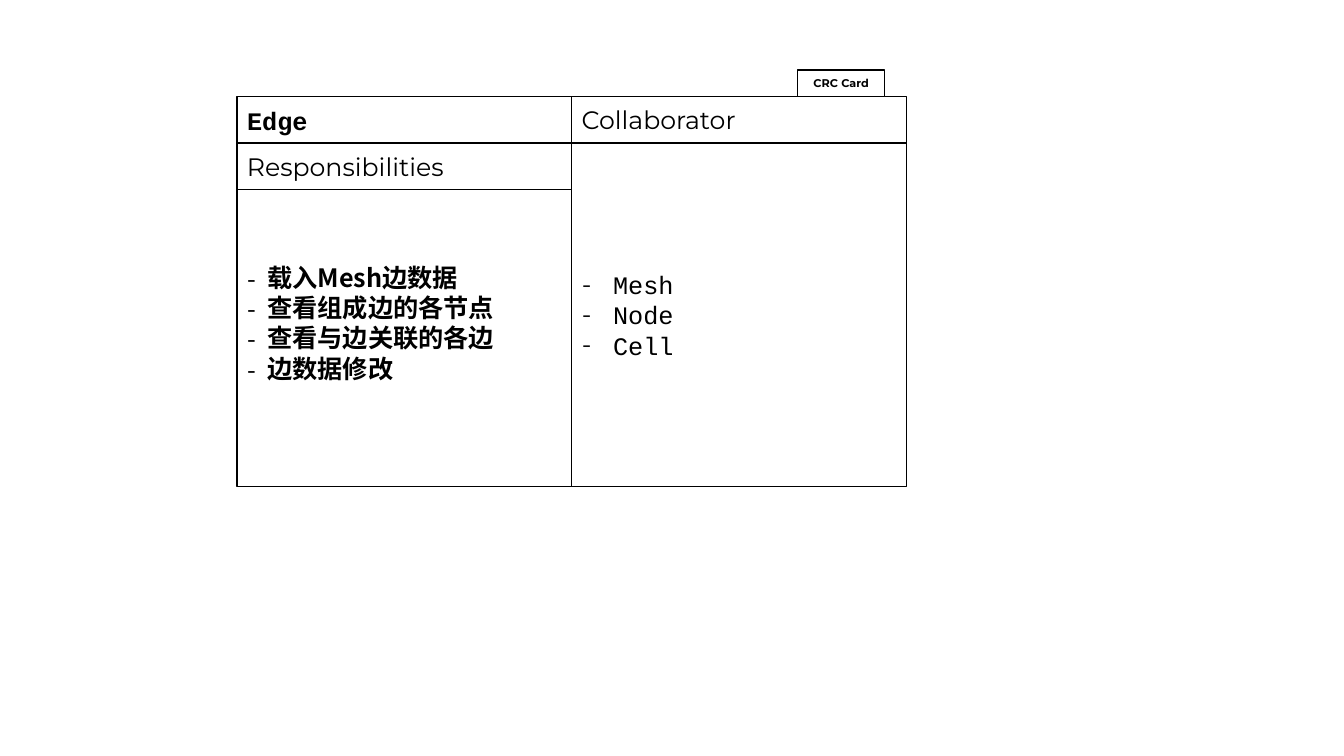
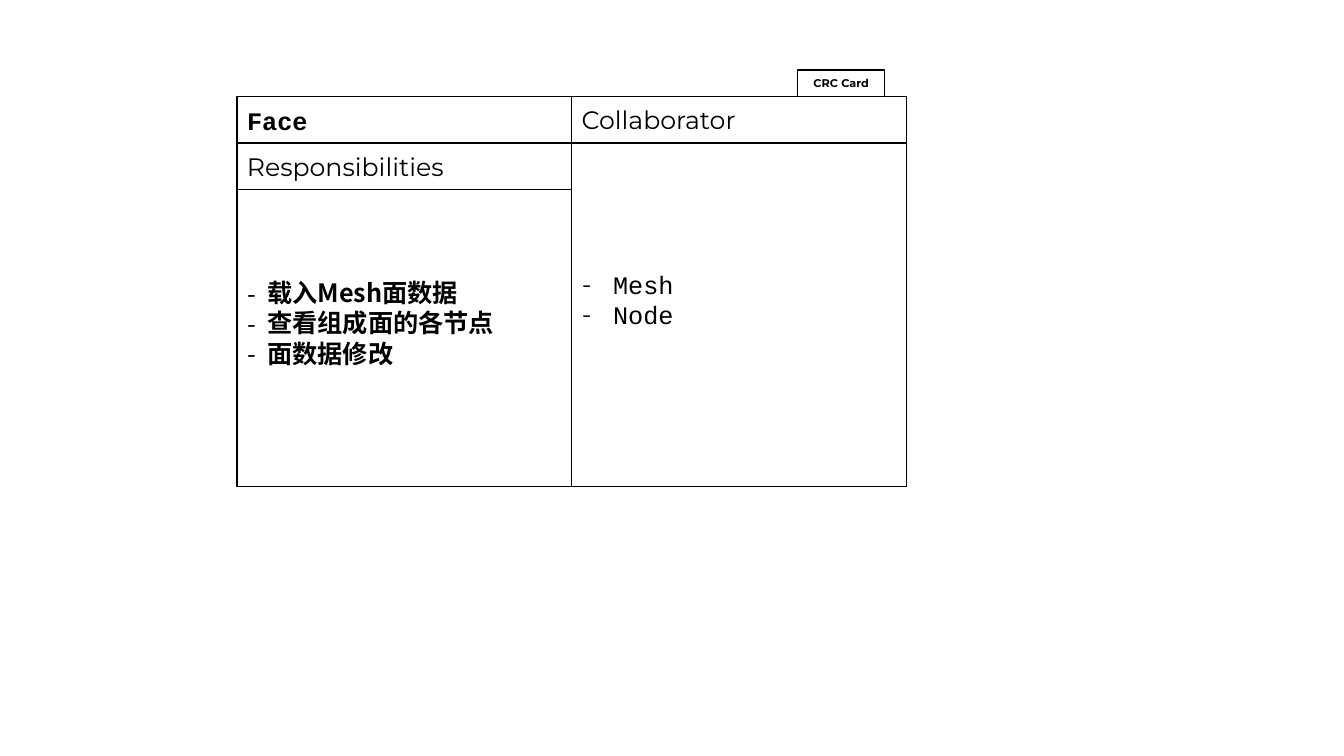
from dataclasses import dataclass

from lxml.etree import SubElement
from pptx import Presentation
from pptx.dml.color import RGBColor
from pptx.enum.shapes import MSO_SHAPE
from pptx.enum.text import MSO_ANCHOR, MSO_AUTO_SIZE, PP_ALIGN
from pptx.oxml.ns import qn
from pptx.util import Inches, Pt


@dataclass(frozen=True)
class Theme:
    """Colours, fonts and sizes that all cards share."""
    ink: RGBColor = RGBColor(0, 0, 0)
    paper: RGBColor = RGBColor(255, 255, 255)
    code: str = "Courier New"
    label: str = "Montserrat"
    han: str = "Noto Sans CJK SC"
    text: int = 18
    small: int = 8
    rule: int = 1
    line: float = 0.3


@dataclass(frozen=True)
class Grid:
    """A grid of equal columns and rows, in inches."""
    left: float
    top: float
    col: float
    row: float

    def place(self, shape, x, y, wide, high):
        """Put a shape at a column and row, spanning some of each."""
        shape.left = Inches(self.left + x * self.col)
        shape.top = Inches(self.top + y * self.row)
        shape.width = Inches(wide * self.col)
        shape.height = Inches(high * self.row)


THEME = Theme()
CARD = Grid(2.35, 0.96, 3.32, 0.46)
ROWS = 8.4
CARDS = [
    ("Edge",
     ["载入Mesh边数据", "查看组成边的各节点", "查看与边关联的各边", "边数据修改"],
     ["Mesh", "Node", "Cell"]),
    ("Face",
     ["载入Mesh面数据", "查看组成面的各节点", "面数据修改"],
     ["Mesh", "Node"]),
]


def frame(shape, grid, area):
    """Place a shape and give it the card's outline and text frame."""
    grid.place(shape, *area)
    shape.shadow.inherit = False
    shape.fill.solid()
    shape.fill.fore_color.rgb = THEME.paper
    shape.line.color.rgb = THEME.ink
    shape.line.width = Pt(THEME.rule)
    body = shape.text_frame
    body.auto_size = MSO_AUTO_SIZE.NONE
    body.word_wrap = True
    body.vertical_anchor = MSO_ANCHOR.MIDDLE
    return body


def write(para, text, font, size=THEME.text, bold=False, align=PP_ALIGN.LEFT):
    """Add one styled run to a paragraph."""
    para.alignment = align
    para.space_before = Pt(0)
    run = para.add_run()
    run.text = text
    run.font.size = Pt(size)
    run.font.bold = bold
    run.font.color.rgb = THEME.ink
    run.font.name = font
    SubElement(run.font._element, qn("a:ea"), typeface=font)


def dash(para, indent, font):
    """Give a paragraph a hanging dash."""
    props = para._p.get_or_add_pPr()
    props.set("marL", str(Inches(indent)))
    props.set("indent", str(-Inches(indent)))
    SubElement(props, qn("a:buFont"), typeface=font)
    SubElement(props, qn("a:buChar"), char="-")


def fill_list(shape, grid, area, items, font, mark, indent, spare, bold=False):
    """Fill a list box, keeping spare lines free at its foot."""
    body = frame(shape, grid, area)
    body.margin_bottom = Inches(0.05 + spare * THEME.line)
    for num, item in enumerate(items):
        para = body.add_paragraph() if num else body.paragraphs[0]
        write(para, item, font, bold=bold)
        dash(para, indent, mark)


def add_label(slide, grid, area, text, **style):
    """Add a ruled box with one line of text."""
    shape = slide.shapes.add_shape(MSO_SHAPE.RECTANGLE, 0, 0, 0, 0)
    body = frame(shape, grid, area)
    write(body.paragraphs[0], text, THEME.label, **style)


def add_card(deck, grid, name, duties, peers):
    """Add a slide with one class card on the given grid."""
    slide = deck.slides.add_slide(deck.slide_layouts.get_by_name("Two Content"))
    title, left, right = slide.placeholders
    head = frame(title, grid, (0, 0, 1, 1))
    write(head.paragraphs[0], name, THEME.code, bold=True)
    add_label(slide, grid, (0, 1, 1, 1), "Responsibilities")
    add_label(slide, grid, (1, 0, 1, 1), "Collaborator")
    fill_list(left, grid, (0, 2, 1, ROWS - 2), duties,
              THEME.han, THEME.han, 0.2, 1, bold=True)
    fill_list(right, grid, (1, 1, 1, ROWS - 1), peers,
              THEME.code, THEME.label, 0.31, 3 - len(peers))
    add_label(slide, grid, (1.675, -0.58, 0.26, 0.58), "CRC Card",
              size=THEME.small, bold=True, align=PP_ALIGN.CENTER)


def main():
    """Build and save the deck."""
    deck = Presentation()
    deck.slide_width = Inches(13.33)
    deck.slide_height = Inches(7.5)
    for card in CARDS:
        add_card(deck, CARD, *card)
    deck.save("out.pptx")


if __name__ == "__main__":
    main()
